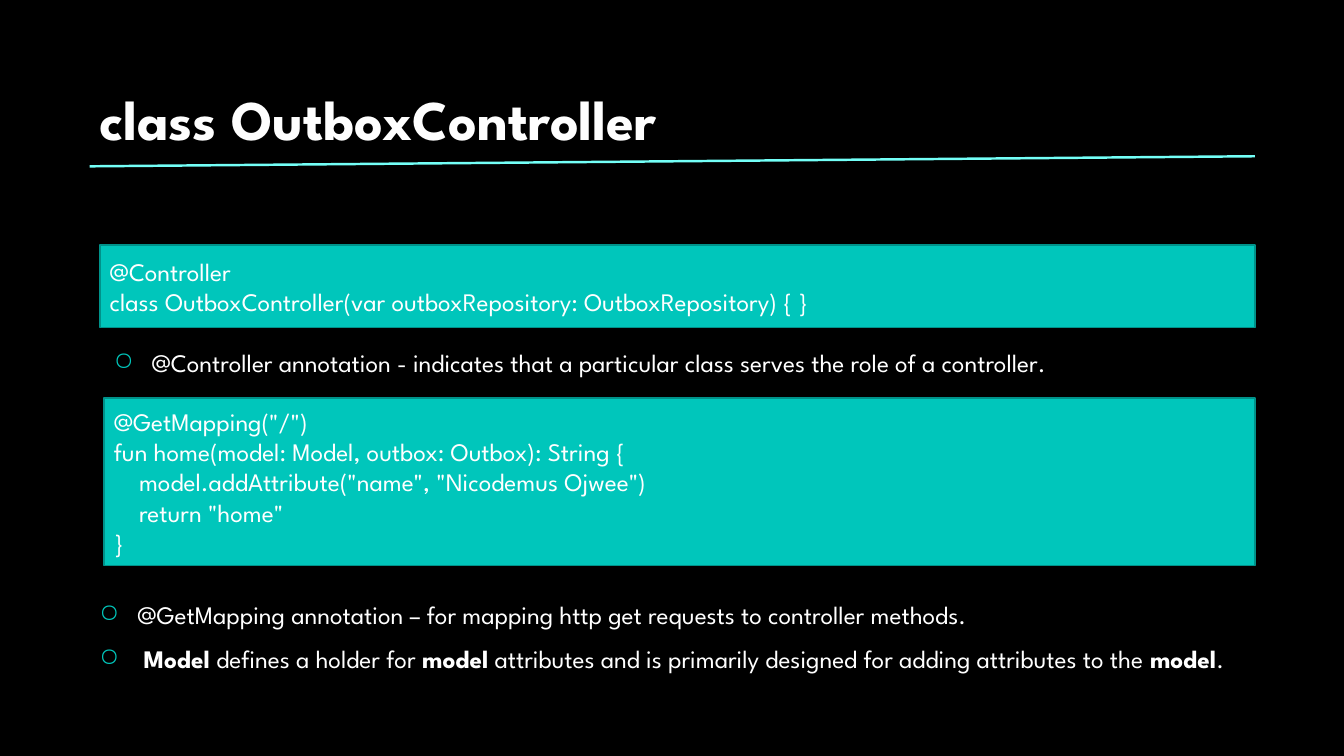
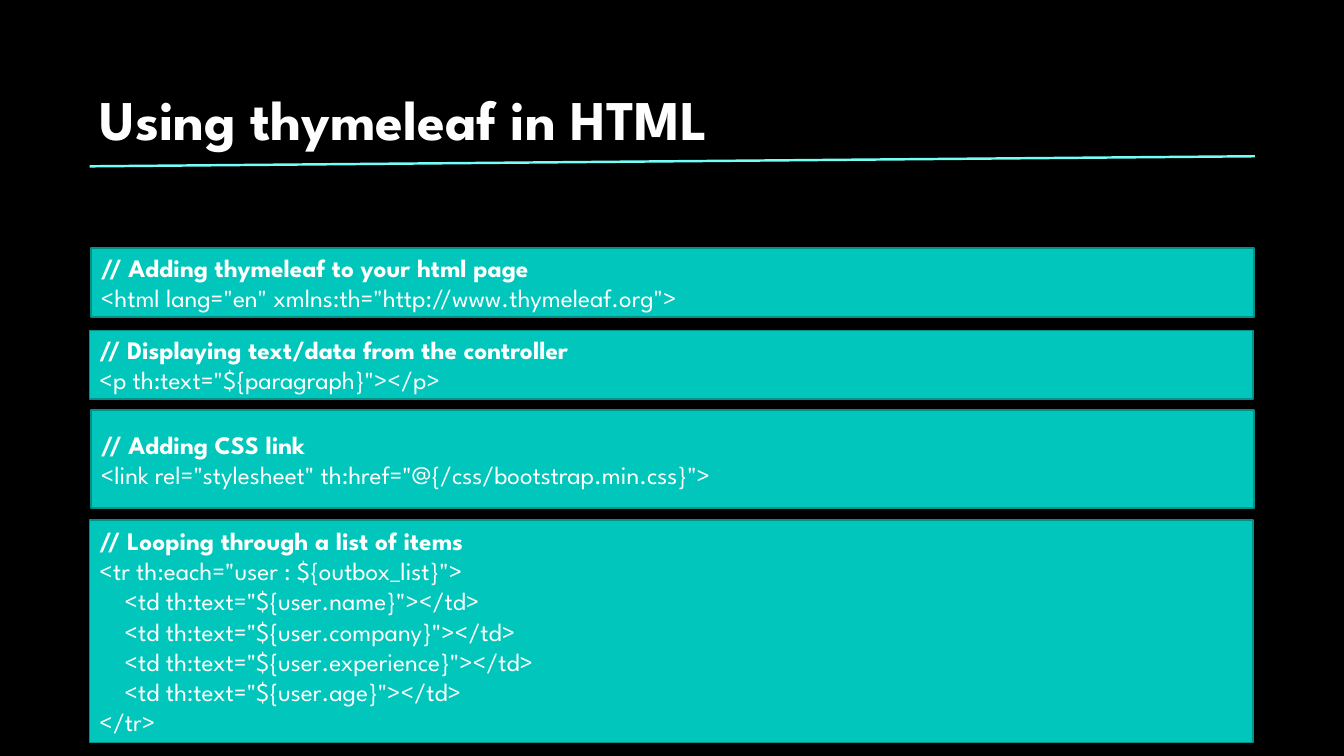
from dataclasses import dataclass

from lxml import etree
from pptx import Presentation
from pptx.dml.color import RGBColor
from pptx.enum.shapes import MSO_CONNECTOR, MSO_SHAPE
from pptx.enum.text import MSO_ANCHOR, PP_ALIGN
from pptx.oxml.ns import qn
from pptx.util import Pt

RECT = MSO_SHAPE.RECTANGLE
STRAIGHT = MSO_CONNECTOR.STRAIGHT
MIDDLE, BOTTOM = MSO_ANCHOR.MIDDLE, MSO_ANCHOR.BOTTOM
LEFT = PP_ALIGN.LEFT

# Shared look
FONT = "League Spartan"
BLACK, WHITE, TITLE_WHITE = "000000", "FFFFFF", "FEFEFE"
TEAL, DARK_TEAL, AQUA = "00C6BB", "00928A", "73FFF7"
TITLE_SIZE, BODY_SIZE = 40, 18
CODE_INDENT, BULLET_INDENT = 18, 27
TAB = "\t"  # marks an indented code line
BOLD = "**"  # encloses bold words


@dataclass
class Box:
    left: float
    top: float
    width: float
    height: float
    lines: list[str]


@dataclass
class Page:
    title: str
    code: list[Box]
    bullets: list[Box]


PAGES = [
    Page(
        "class OutboxController",
        code=[
            Box(71.3, 175, 825, 59, [
                "@Controller",
                "class OutboxController(var outboxRepository: OutboxRepository) { }",
            ]),
            Box(74.2, 284.4, 822.2, 119.5, [
                '@GetMapping("/")',
                "fun home(model: Model, outbox: Outbox): String {",
                '\tmodel.addAttribute("name", "Nicodemus Ojwee")',
                '\treturn "home"',
                "}",
            ]),
        ],
        bullets=[
            Box(74.2, 242, 831, 33.8, [
                "@Controller annotation - indicates that a particular class "
                "serves the role of a controller.",
            ]),
            Box(64, 411.8, 831, 85.7, [
                "@GetMapping annotation – for mapping http get requests "
                "to controller methods.",
                "\u00a0**Model** defines a holder for **model** attributes and is "
                "primarily designed for adding attributes to the **model**.",
            ]),
        ],
    ),
    Page(
        "Using thymeleaf in HTML",
        code=[
            Box(65, 177.2, 831, 49, [
                "**// Adding thymeleaf to your html page**",
                '<html lang="en" xmlns:th="http://www.thymeleaf.org">',
            ]),
            Box(64, 236, 831, 49, [
                "**// Displaying text/data from the controller**",
                '<p th:text="${paragraph}"></p>',
            ]),
            Box(65, 293, 831, 70, [
                "**// Adding CSS link**",
                '<link rel="stylesheet" th:href="@{/css/bootstrap.min.css}">',
            ]),
            Box(64, 371.3, 831, 159, [
                "**// Looping through a list of items**",
                '<tr th:each="user : ${outbox_list}">',
                '\t<td th:text="${user.name}"></td>',
                '\t<td th:text="${user.company}"></td>',
                '\t<td th:text="${user.experience}"></td>',
                '\t<td th:text="${user.age}"></td>',
                "</tr>",
            ]),
        ],
        bullets=[],
    ),
]


def rgb(color: str) -> RGBColor:
    return RGBColor.from_string(color)


def set_indent(p, left: float, first: float = 0) -> None:
    pPr = p._p.get_or_add_pPr()
    pPr.set("marL", str(Pt(left)))
    pPr.set("indent", str(Pt(first)))


def add_bullet(p) -> None:
    set_indent(p, BULLET_INDENT, -BULLET_INDENT)
    p.space_before, p.space_after = Pt(3.6), Pt(6)
    pPr = p._p.get_or_add_pPr()
    bullet_color = etree.SubElement(pPr, qn("a:buClr"))
    etree.SubElement(bullet_color, qn("a:srgbClr")).set("val", TEAL)
    etree.SubElement(pPr, qn("a:buChar")).set("char", "○")


def write(tf, lines: list[str], size: float = BODY_SIZE, color: str = WHITE,
          anchor=MIDDLE, bulleted: bool = False) -> None:
    tf.word_wrap = True
    tf.vertical_anchor = anchor
    for i, line in enumerate(lines):
        p = tf.add_paragraph() if i else tf.paragraphs[0]
        p.alignment = LEFT
        if bulleted:
            add_bullet(p)
        elif line.startswith(TAB):
            set_indent(p, CODE_INDENT)
        for j, words in enumerate(line.lstrip(TAB).split(BOLD)):
            if not words:
                continue
            r = p.add_run()
            r.text = words
            look = {"name": FONT, "size": Pt(size), "bold": j % 2 == 1}
            for name, value in look.items():
                setattr(r.font, name, value)
            r.font.color.rgb = rgb(color)


def frame(box: Box) -> list[int]:
    return [Pt(v) for v in (box.left, box.top, box.width, box.height)]


def add_code(s, box: Box) -> None:
    sp = s.shapes.add_shape(RECT, *frame(box))
    sp.shadow.inherit = False
    sp.fill.solid()
    sp.fill.fore_color.rgb = rgb(TEAL)
    sp.line.color.rgb = rgb(DARK_TEAL)
    sp.line.width = Pt(1.25)
    write(sp.text_frame, box.lines)


def add_text(s, box: Box, **style) -> None:
    write(s.shapes.add_textbox(*frame(box)).text_frame, box.lines, **style)


def add_header(s, title: str) -> None:
    add_text(s, Box(64, 35.3, 832.3, 76.3, [BOLD + title + BOLD]),
             size=TITLE_SIZE, color=TITLE_WHITE, anchor=BOTTOM)
    rule = s.shapes.add_connector(STRAIGHT, Pt(64), Pt(118.8), Pt(896.4), Pt(111.6))
    rule.line.color.rgb = rgb(AQUA)
    rule.line.width = Pt(1.75)
    etree.SubElement(rule._element.spPr, qn("a:effectLst"))


prs = Presentation()
prs.slide_width, prs.slide_height = Pt(960), Pt(540)
blank = prs.slide_layouts[6]

for page in PAGES:
    s = prs.slides.add_slide(blank)
    s.background.fill.solid()
    s.background.fill.fore_color.rgb = rgb(BLACK)
    add_header(s, page.title)
    for box in page.code:
        add_code(s, box)
    for box in page.bullets:
        add_text(s, box, bulleted=True)

prs.save("out.pptx")
